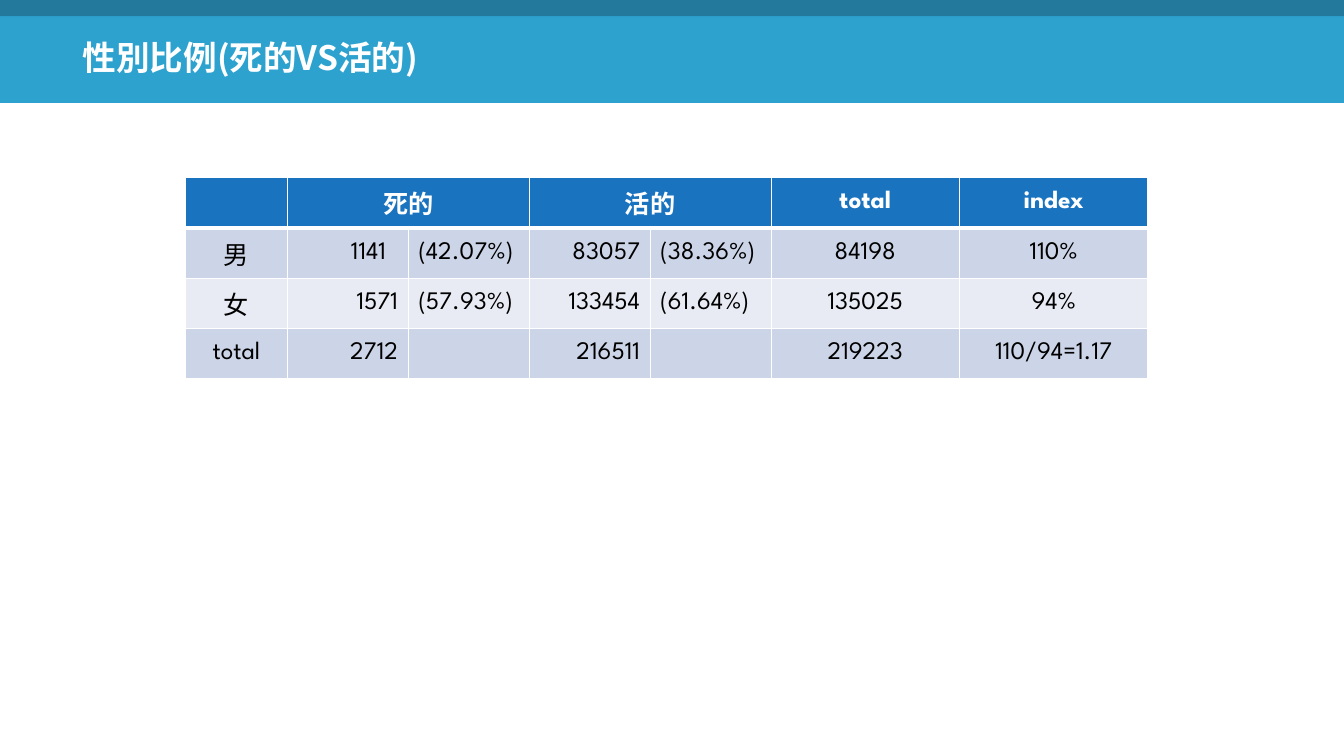
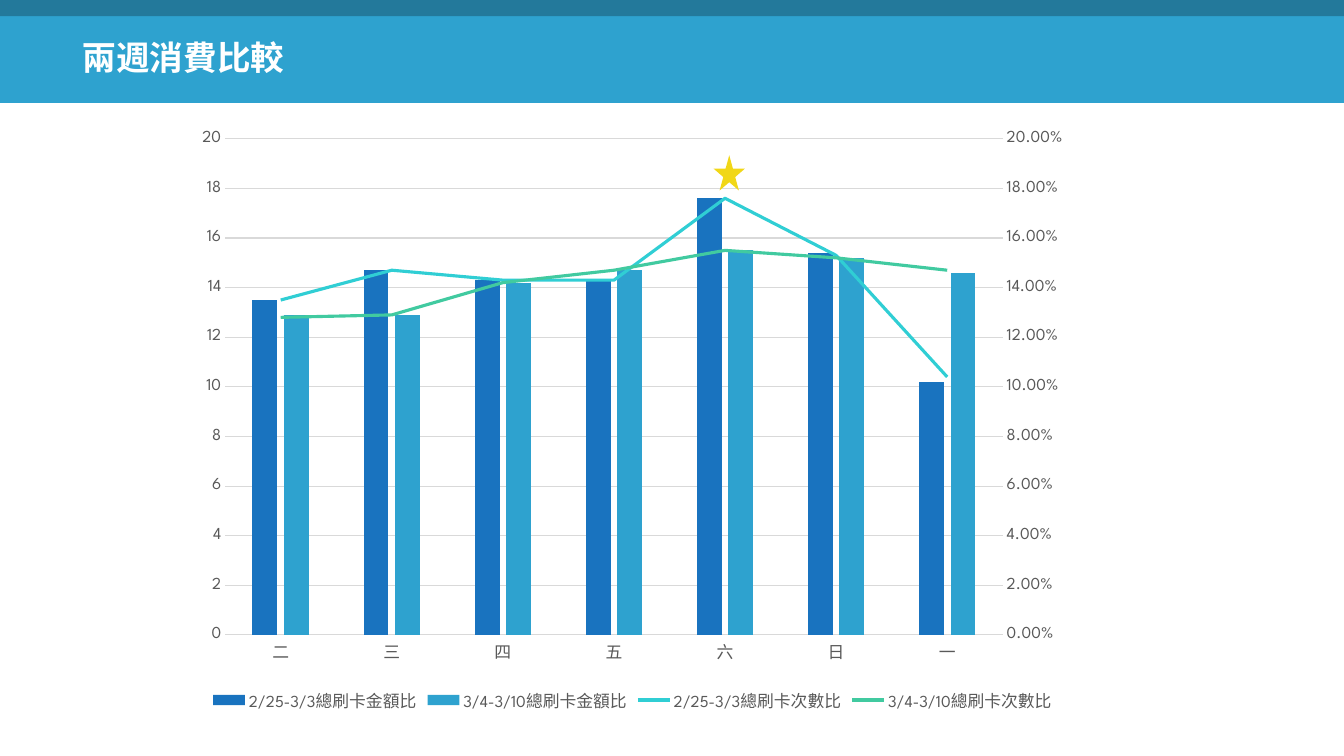
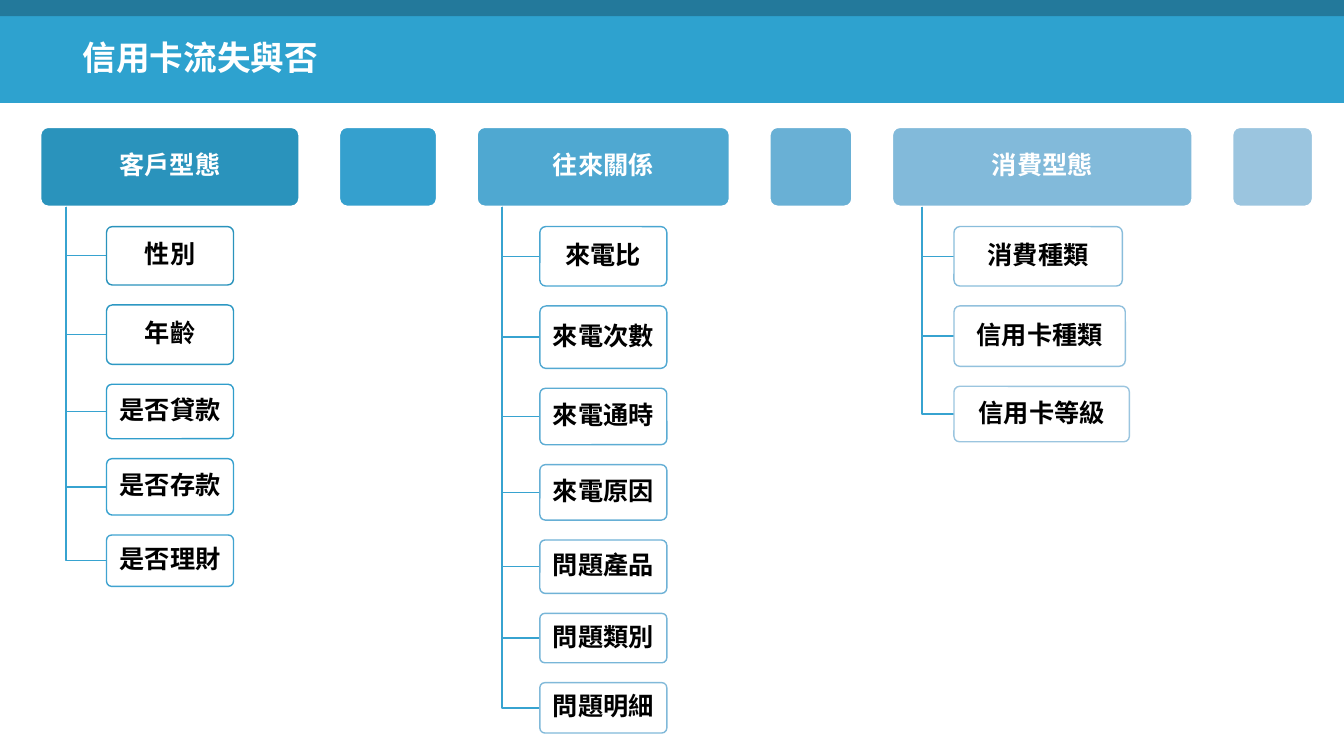
from copy import deepcopy
from itertools import product

from lxml import etree
from pptx import Presentation
from pptx import util as u
from pptx.chart.data import CategoryChartData
from pptx.dml.color import RGBColor
from pptx.enum import chart as ch, shapes, text
from pptx.oxml.ns import qn

CELL = u.Pt(6)  # the slide is a grid of 160 columns by 90 rows
COLUMNS, ROWS = 160, 90
LATIN, CJK = "League Spartan", "Noto Sans CJK SC"
WHITE, BLACK, GREY, RULE = "FFFFFF", "000000", "595959", "D9D9D9"
BLUE, SKY, TEAL, STEM = "1973BF", "2EA2CF", "23799B", "37A3D0"
AQUA, GREEN, YELLOW = "30CED4", "41CAA0", "F1D717"
STRIPES = ("CCD5E8", "E8EBF4")
LEFT, CENTER, RIGHT = (text.PP_ALIGN.LEFT, text.PP_ALIGN.CENTER,
                       text.PP_ALIGN.RIGHT)
MIDDLE = text.MSO_ANCHOR.MIDDLE


def rgb(code):
    return RGBColor.from_string(code)


def grid(*cells):
    return [u.Emu(round(n * CELL)) for n in cells]


def assign(target, **values):
    for key, value in values.items():
        setattr(target, key, value)


def set_child(parent, tag, value):
    parent.find(qn(tag)).set("val", value)


class Deck:
    def __init__(self):
        self.prs = Presentation()
        assign(self.prs, slide_width=CELL * COLUMNS, slide_height=CELL * ROWS)
        self.layout = self.prs.slide_layouts[5]
        self.place(self.layout.placeholders[0], 8.64, 3.36, 69.6, 6.96)
        self.current = None

    def place(self, item, *box):
        assign(item, **dict(zip(("left", "top", "width", "height"), grid(*box))))

    def slide(self, heading):
        first = self.current is None
        self.current = self.prs.slides.add_slide(self.layout)
        if first:
            self.bands()
        title = self.current.shapes.title
        self.fill_text(title.text_frame, heading, 24, WHITE, True, CJK, LEFT)
        title.text_frame.paragraphs[0].space_before = u.Pt(10)

    def bands(self):
        """Draw the header bands once and hand them to the layout."""
        for depth, (height, color) in enumerate(((12.24, SKY), (1.92, TEAL))):
            band = self.shape("RECTANGLE", (0, 0, COLUMNS, height), color)
            self.layout.shapes.element.insert(2 + depth, band.element)

    def fill_text(self, frame, words, size, color, bold, font, align):
        assign(frame, word_wrap=True, vertical_anchor=MIDDLE,
               auto_size=text.MSO_AUTO_SIZE.NONE)
        self.line_of_text(frame.paragraphs[0], words, size, color, bold, font,
                          align)

    def line_of_text(self, paragraph, words, size, color, bold, font, align):
        paragraph.alignment = align
        run = paragraph.add_run()
        run.text = words
        assign(run.font, size=u.Pt(size), bold=bold, name=font)
        run.font.color.rgb = rgb(color)
        etree.SubElement(run._r.get_or_add_rPr(), qn("a:ea"), typeface=CJK)

    def outline(self, shape, color, width):
        shape.shadow.inherit = False
        if color:
            shape.line.color.rgb = rgb(color)
            shape.line.width = u.Pt(width)
        else:
            shape.line.fill.background()

    def shape(self, preset, box, fill, line=None, width=1):
        kind = getattr(shapes.MSO_SHAPE, preset)
        item = self.current.shapes.add_shape(kind, *grid(*box))
        item.fill.solid()
        item.fill.fore_color.rgb = rgb(fill)
        self.outline(item, line, width)
        return item

    def card(self, box, words, fill, line, ink, width=1):
        card = self.shape("ROUNDED_RECTANGLE", box, fill, line, width)
        card.adjustments[0] = 0.1
        if words:
            margin = u.Inches(0.04)
            assign(card.text_frame, margin_left=margin, margin_right=margin)
            self.fill_text(card.text_frame, words, 18, ink, True, CJK, CENTER)
            card.text_frame.paragraphs[0].line_spacing = 0.9

    def elbow(self, left, top, right, bottom):
        left, top, right, bottom = grid(left, top, right, bottom)
        route = self.current.shapes.build_freeform(left, top)
        route.add_line_segments([(left, bottom), (right, bottom)], close=False)
        branch = route.convert_to_shape()
        branch.fill.background()
        self.outline(branch, STEM, 1)

    def table(self, origin, widths, height, rows, aligns, merges):
        size = (sum(widths), height * len(rows))
        frame = self.current.shapes.add_table(
            len(rows), len(widths), *grid(*origin, *size))
        table = frame.table
        for column, width in zip(table.columns, grid(*widths)):
            column.width = width
        for r, c in product(range(len(rows)), range(len(widths))):
            cell, head = table.cell(r, c), r == 0
            cell.vertical_anchor = MIDDLE
            cell.fill.solid()
            cell.fill.fore_color.rgb = rgb(BLUE if head else STRIPES[(r - 1) % 2])
            if rows[r][c]:
                self.line_of_text(
                    cell.text_frame.paragraphs[0], rows[r][c], 18,
                    WHITE if head else BLACK, head, LATIN,
                    CENTER if head else aligns[c])
            self.borders(cell, top=3 if r == 1 else 1, bottom=3 if head else 1)
        for r, c in merges:
            table.cell(r, c).merge(table.cell(r, c + 1))
        return table

    def borders(self, cell, top, bottom):
        properties = cell._tc.get_or_add_tcPr()
        sides = (("L", 1), ("R", 1), ("T", top), ("B", bottom))
        for index, (side, width) in enumerate(sides):
            edge = etree.Element(qn("a:ln" + side), w=str(u.Pt(width)))
            fill = etree.SubElement(edge, qn("a:solidFill"))
            etree.SubElement(fill, qn("a:srgbClr"), val=WHITE)
            properties.insert(index, edge)

    def combo_chart(self, box, days, bars, lines):
        data = CategoryChartData()
        data.categories = days
        for name, values, _ in bars:
            data.add_series(name, values)
        for name, values, _ in lines:
            data.add_series(name, values, number_format="0.00%")
        chart = self.current.shapes.add_chart(
            ch.XL_CHART_TYPE.COLUMN_CLUSTERED, *grid(*box), data).chart
        assign(chart, has_title=False, has_legend=True)
        assign(chart.legend, position=ch.XL_LEGEND_POSITION.BOTTOM,
               include_in_layout=False)
        assign(chart.plots[0], gap_width=219, overlap=-27, vary_by_categories=False)

        # Axes and type
        amount, day = chart.value_axis, chart.category_axis
        for font in (chart.font, chart.legend.font, amount.tick_labels.font,
                     day.tick_labels.font):
            assign(font, size=u.Pt(12), name=LATIN)
            font.color.rgb = rgb(GREY)
        for axis in (amount, day):
            axis.major_tick_mark = ch.XL_TICK_MARK.NONE
        assign(amount, minimum_scale=0, maximum_scale=20, major_unit=2)
        assign(amount.tick_labels, number_format="General",
               number_format_is_linked=False)
        amount.format.line.fill.background()
        for rule in (day.format.line, amount.major_gridlines.format.line):
            rule.color.rgb = rgb(RULE)
            rule.width = u.Pt(0.75)

        # Series
        self.split_lines(chart, len(bars))
        columns, curves = chart.plots
        for series, (_, _, color) in zip(columns.series, bars):
            series.format.fill.solid()
            series.format.fill.fore_color.rgb = rgb(color)
        for series, (_, _, color) in zip(curves.series, lines):
            series.smooth = False
            series.marker.style = ch.XL_MARKER_STYLE.NONE
            series.format.line.color.rgb = rgb(color)
            series.format.line.width = u.Pt(2.25)

    def split_lines(self, chart, bar_count):
        """Move the series after the bars to lines on a percent axis."""
        bar_plot = chart._chartSpace.find(".//" + qn("c:barChart"))
        line_plot = chart._chartSpace.makeelement(qn("c:lineChart"))
        etree.SubElement(line_plot, qn("c:grouping"), val="standard")
        etree.SubElement(line_plot, qn("c:varyColors"), val="0")
        for series in bar_plot.findall(qn("c:ser"))[bar_count:]:
            for flag in series.findall(qn("c:invertIfNegative")):
                series.remove(flag)
            line_plot.append(series)
        bar_plot.addnext(line_plot)

        day, amount = chart.category_axis._element, chart.value_axis._element
        hidden_day, percent = deepcopy(day), deepcopy(amount)
        ids = ("50010", "50020")
        for axis, own, cross in ((hidden_day, *ids), (percent, *ids[::-1])):
            set_child(axis, "c:axId", own)
            set_child(axis, "c:crossAx", cross)
            etree.SubElement(line_plot, qn("c:axId"), val=own)
        set_child(hidden_day, "c:delete", "1")
        set_child(percent, "c:axPos", "r")
        set_child(percent, "c:crosses", "max")
        set_child(percent, "c:majorUnit", "0.02")
        set_child(percent.find(qn("c:scaling")), "c:max", "0.2")
        percent.find(qn("c:numFmt")).set("formatCode", "0.00%")
        percent.remove(percent.find(qn("c:majorGridlines")))
        amount.addnext(percent)
        percent.addnext(hidden_day)

    def tree(self, left, top, height, headers):
        """Row of headers; items hang below, a quarter header apart."""
        for words, width, color, reach, items in headers:
            self.card((left, top, width, height), words, color, WHITE, WHITE, 1.5)
            bottom = top + height
            stem = left + width / 10
            item_top = bottom + height / 4
            for item, item_width, item_height, edge in items:
                self.elbow(stem, bottom, stem + reach, item_top + item_height / 2)
                self.card((stem + reach, item_top, item_width, item_height),
                          item, WHITE, edge, BLACK)
                item_top += item_height + height / 4
            left += width + height / 2


def main():
    deck = Deck()

    # Share of each sex
    deck.slide("性別比例(死的VS活的)")
    rows = [
        ("", "死的", "", "活的", "", "total", "index"),
        ("男", "1141", "(42.07%)", "83057", "(38.36%)", "84198", "110%"),
        ("女", "1571", "(57.93%)", "133454", "(61.64%)", "135025", "94%"),
        ("total", "2712", "", "216511", "", "219223", "110/94=1.17"),
    ]
    ratio = deck.table((22.08, 21.12), [12.12] + [14.4] * 4 + [22.44] * 2, 6, rows,
                       (CENTER, RIGHT, LEFT, RIGHT, LEFT, CENTER, CENTER),
                       ((0, 1), (0, 3)))
    ratio.cell(1, 1).margin_right = u.Inches(0.22)

    # Two weeks of spending
    deck.slide("兩週消費比較")
    deck.combo_chart(
        (21.96, 14.16, 106.68, 71.16), list("二三四五六日一"),
        [("2/25-3/3總刷卡金額比", (13.5, 14.7, 14.3, 14.3, 17.6, 15.4, 10.2), BLUE),
         ("3/4-3/10總刷卡金額比", (12.9, 12.9, 14.2, 14.7, 15.5, 15.2, 14.6), SKY)],
        [("2/25-3/3總刷卡次數比",
          (0.135, 0.147, 0.143, 0.143, 0.176, 0.153, 0.104), AQUA),
         ("3/4-3/10總刷卡次數比",
          (0.128, 0.129, 0.142, 0.147, 0.155, 0.152, 0.147), GREEN)])
    deck.shape("STAR_5_POINT", (84.96, 18.48, 3.72, 4.2), YELLOW)

    # Factors behind card loss
    deck.slide("信用卡流失與否")
    customer = [
        ("性別", 15.12, 6.96, "2A93BC"),
        ("年齡", 15.12, 7.08, "2D98C3"),
        ("是否貸款", 15.12, 6.48, "309DCB"),
        ("是否存款", 15.12, 6.72, "37A1CF"),
        ("是否理財", 15.12, 6.12, "40A3D0"),
    ]
    contact = [
        ("來電比", 15.12, 7.08, "4AA6D1"),
        ("來電次數", 15.12, 7.44, "53A9D2"),
        ("來電通時", 15.12, 6.72, "5CACD3"),
        ("來電原因", 15.12, 6.6, "66AFD5"),
        ("問題產品", 15.12, 6.36, "6FB2D6"),
        ("問題類別", 15.12, 5.88, "78B6D8"),
        ("問題明細", 15.12, 6, "81B9D9"),
    ]
    spending = [
        ("消費種類", 20.04, 7.08, "89BDDB"),
        ("信用卡種類", 20.4, 7.2, "92C1DD"),
        ("信用卡等級", 20.88, 6.6, "9BC5DF"),
    ]
    deck.tree(4.8, 15.12, 9.48, [
        ("客戶型態", 30.84, "2A93BC", 4.8, customer),
        ("", 11.64, "35A0CE", 0, []),
        ("往來關係", 30.12, "4FA8D1", 4.5, contact),
        ("", 9.84, "69B0D5", 0, []),
        ("消費型態", 35.76, "82BADA", 3.8, spending),
        ("", 9.6, "9BC5DF", 0, []),
    ])

    deck.prs.save("out.pptx")


if __name__ == "__main__":
    main()
